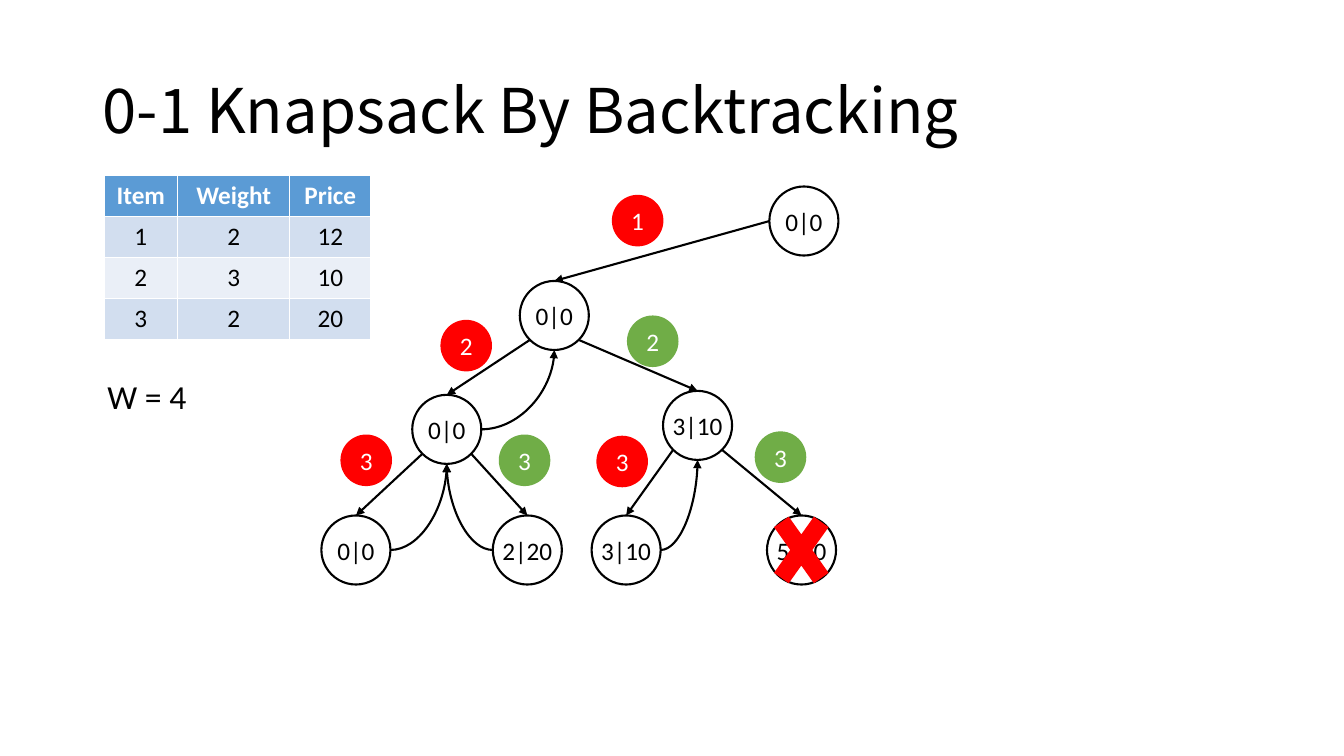
from dataclasses import dataclass
from math import sqrt

from lxml.etree import SubElement
from pptx import Presentation
from pptx.dml.color import RGBColor
from pptx.enum.shapes import MSO_CONNECTOR, MSO_SHAPE
from pptx.enum.text import MSO_ANCHOR, PP_ALIGN
from pptx.oxml.ns import qn
from pptx.shapes.autoshape import Shape
from pptx.shapes.connector import Connector
from pptx.slide import Slide
from pptx.text.text import TextFrame
from pptx.util import Cm, Pt

COLORS = {
    "ink": "000000",
    "paper": "FFFFFF",
    "skip": "FF0000",
    "take": "70AD47",
    "header": "5B9BD5",
    "odd_row": "D2DEEF",
    "even_row": "EAEFF7",
}
BODY_FONT = "Calibri"
TITLE_FONT = "Noto Sans CJK SC"
STATE_SIZE = 1.74
STATE_RADIUS = STATE_SIZE / 2
BADGE_SIZE = 1.3
LEAF_Y = 13.86


@dataclass(frozen=True)
class State:
    label: str
    x: float
    y: float


@dataclass(frozen=True)
class Branch:
    parent: str
    child: str
    item: int
    choice: str
    badge_x: float
    badge_y: float


STATES = {
    "root": State("0|0", 20.26, 5.57),
    "skip_1": State("0|0", 13.97, 7.95),
    "skip_1_2": State("0|0", 11.26, 10.82),
    "take_2": State("3|10", 17.58, 10.72),
    "skip_all": State("0|0", 8.97, LEAF_Y),
    "take_3": State("2|20", 13.29, LEAF_Y),
    "take_2_only": State("3|10", 15.78, LEAF_Y),
    "overweight": State("5|30", 20.2, LEAF_Y),
}
BRANCHES = [
    Branch("root", "skip_1", 1, "skip", 16.07, 5.56),
    Branch("skip_1", "skip_1_2", 2, "skip", 11.75, 8.71),
    Branch("skip_1", "take_2", 2, "take", 16.45, 8.6),
    Branch("skip_1_2", "skip_all", 3, "skip", 9.23, 11.6),
    Branch("skip_1_2", "take_3", 3, "take", 13.22, 11.6),
    Branch("take_2", "take_2_only", 3, "skip", 15.68, 11.63),
    Branch("take_2", "overweight", 3, "take", 19.67, 11.52),
]
BACKTRACKS = [
    ("skip_all", "skip_1_2"),
    ("take_3", "skip_1_2"),
    ("skip_1_2", "skip_1"),
    ("take_2_only", "take_2"),
]
ITEMS = [
    ("Item", "Weight", "Price"),
    ("1", "2", "12"),
    ("2", "3", "10"),
    ("3", "2", "20"),
]
COLUMN_WIDTHS = (1.86, 2.82, 2.05)
ROW_HEIGHT = 1.03


def color(name: str) -> RGBColor:
    return RGBColor.from_string(COLORS[name])


def write(frame: TextFrame, text: str, size: float, ink: str = "ink",
          font: str = BODY_FONT, align: PP_ALIGN = PP_ALIGN.LEFT,
          bold: bool = False) -> None:
    frame.text = text
    paragraph = frame.paragraphs[0]
    paragraph.alignment = align
    for run in paragraph.runs:
        run.font.name = font
        run.font.size = Pt(size)
        run.font.bold = bold
        run.font.color.rgb = color(ink)


def add_circle(slide: Slide, x: float, y: float, size: float,
               text: str, ink: str) -> Shape:
    circle = slide.shapes.add_shape(
        MSO_SHAPE.OVAL, Cm(x - size / 2), Cm(y - size / 2), Cm(size), Cm(size))
    circle.shadow.inherit = False
    frame = circle.text_frame
    frame.margin_left = frame.margin_right = 0
    frame.margin_top = frame.margin_bottom = 0
    frame.word_wrap = False
    frame.vertical_anchor = MSO_ANCHOR.MIDDLE
    write(frame, text, 18, ink, align=PP_ALIGN.CENTER)
    return circle


def add_state(slide: Slide, state: State) -> Shape:
    circle = add_circle(slide, state.x, state.y, STATE_SIZE, state.label, "ink")
    circle.fill.background()
    circle.line.color.rgb = color("ink")
    circle.line.width = Pt(1.5)
    return circle


def add_badge(slide: Slide, branch: Branch) -> None:
    badge = add_circle(slide, branch.badge_x, branch.badge_y, BADGE_SIZE,
                       str(branch.item), "paper")
    badge.fill.solid()
    badge.fill.fore_color.rgb = color(branch.choice)
    badge.line.fill.background()


def add_arrow(slide: Slide, kind: MSO_CONNECTOR, start_x: float, start_y: float,
              end_x: float, end_y: float) -> Connector:
    arrow = slide.shapes.add_connector(
        kind, Cm(start_x), Cm(start_y), Cm(end_x), Cm(end_y))
    arrow.line.color.rgb = color("ink")
    arrow.line.width = Pt(1.5)
    properties = arrow.element.spPr
    SubElement(properties.find(qn("a:ln")), qn("a:tailEnd"), type="triangle")
    SubElement(properties, qn("a:effectLst"))
    return arrow


def add_branch(slide: Slide, branch: Branch, child_circle: Shape) -> None:
    parent, child = STATES[branch.parent], STATES[branch.child]
    direction = 1 if child.x > parent.x else -1
    diagonal = STATE_RADIUS / sqrt(2)
    reach, drop = (STATE_RADIUS, 0) if branch.parent == "root" else (diagonal, diagonal)
    arrow = add_arrow(slide, MSO_CONNECTOR.STRAIGHT,
                      parent.x + direction * reach, parent.y + drop,
                      child.x, child.y - STATE_RADIUS)
    arrow.end_connect(child_circle, 0)


def add_backtrack(slide: Slide, child: State, parent: State) -> None:
    direction = 1 if parent.x > child.x else -1
    arrow = add_arrow(slide, MSO_CONNECTOR.CURVE,
                      child.x + direction * STATE_RADIUS, child.y,
                      parent.x, parent.y + STATE_RADIUS)
    arrow.element.spPr.find(qn("a:prstGeom")).set("prst", "curvedConnector2")


def add_items(slide: Slide) -> None:
    items = slide.shapes.add_table(
        len(ITEMS), len(COLUMN_WIDTHS), Cm(2.62), Cm(4.43),
        Cm(sum(COLUMN_WIDTHS)), Cm(ROW_HEIGHT * len(ITEMS))).table
    for column, width in zip(items.columns, COLUMN_WIDTHS):
        column.width = Cm(width)
    for row, values in enumerate(ITEMS):
        is_header = row == 0
        band = "header" if is_header else "odd_row" if row % 2 else "even_row"
        for column, value in enumerate(values):
            cell = items.cell(row, column)
            cell.fill.solid()
            cell.fill.fore_color.rgb = color(band)
            write(cell.text_frame, value, 18, "paper" if is_header else "ink",
                  align=PP_ALIGN.CENTER, bold=is_header)


def main() -> None:
    deck = Presentation()
    deck.slide_width, deck.slide_height = Cm(33.87), Cm(19.05)
    slide = deck.slides.add_slide(deck.slide_layouts[5])

    title = slide.shapes.title
    title.left, title.top, title.width, title.height = Cm(2.33), Cm(1.01), Cm(29.21), Cm(3.68)
    write(title.text_frame, "0-1 Knapsack By Backtracking", 44, font=TITLE_FONT)
    title.text_frame.vertical_anchor = MSO_ANCHOR.MIDDLE
    title.text_frame.paragraphs[0].line_spacing = 0.9

    add_items(slide)
    capacity = slide.shapes.add_textbox(Cm(2.46), Cm(9.35), Cm(2.51), Cm(1.27))
    capacity.text_frame.word_wrap = False
    write(capacity.text_frame, "W = 4", 24)

    circles = {key: add_state(slide, state) for key, state in STATES.items()}
    for branch in BRANCHES:
        add_branch(slide, branch, circles[branch.child])
        add_badge(slide, branch)
    for child, parent in BACKTRACKS:
        add_backtrack(slide, STATES[child], STATES[parent])

    rejection = slide.shapes.add_shape(
        MSO_SHAPE.MATH_MULTIPLY, Cm(19.23), Cm(12.5), Cm(1.93), Cm(2.72))
    rejection.shadow.inherit = False
    rejection.fill.solid()
    rejection.fill.fore_color.rgb = color("skip")
    rejection.line.fill.background()

    deck.save("out.pptx")


if __name__ == "__main__":
    main()
